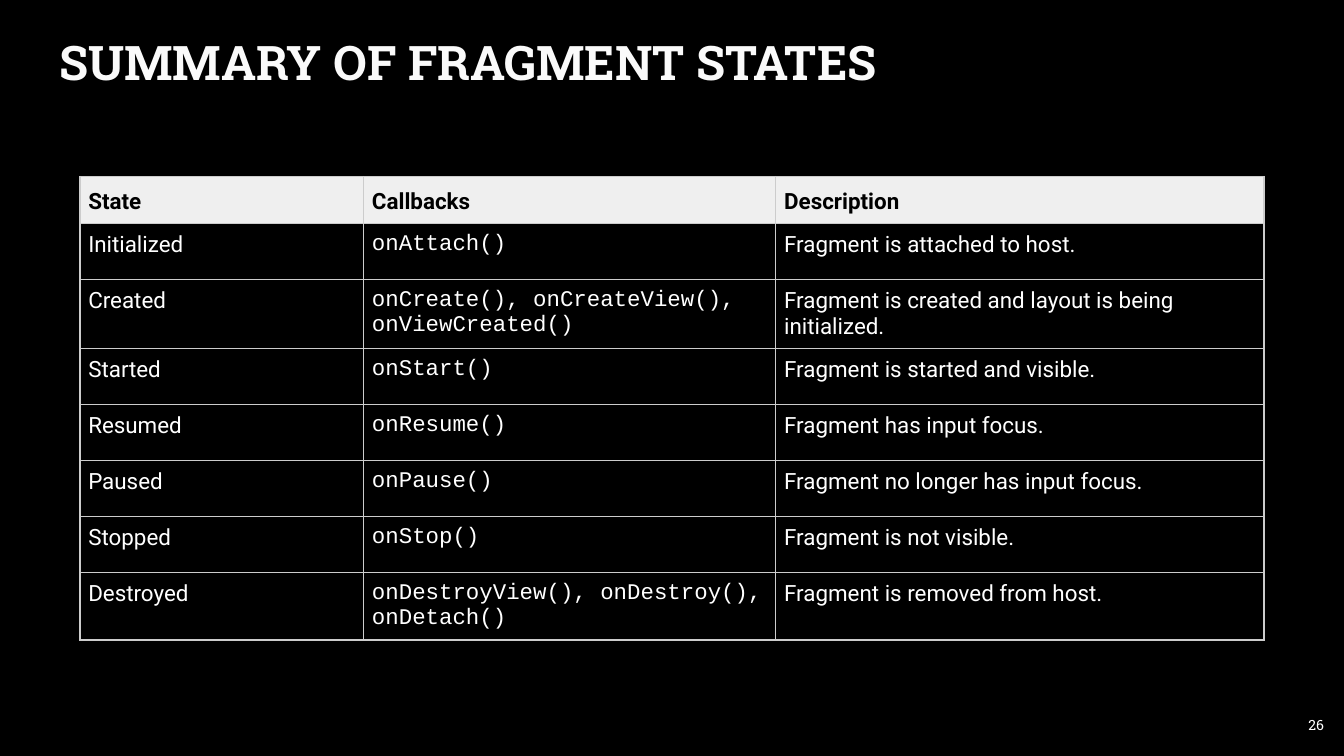
from lxml import etree
from pptx import Presentation
from pptx.dml.color import RGBColor
from pptx.enum.text import MSO_ANCHOR, MSO_AUTO_SIZE, PP_ALIGN
from pptx.oxml.ns import qn
from pptx.util import Pt

TOP, MIDDLE = MSO_ANCHOR.TOP, MSO_ANCHOR.MIDDLE
LEFT, RIGHT = PP_ALIGN.LEFT, PP_ALIGN.RIGHT
NO_FIT = MSO_AUTO_SIZE.NONE

SANS, SLAB, MONO = "Roboto", "Roboto Slab", "Courier New"
WHITE, BLACK = "FFFFFF", "000000"
TITLE_ONLY = 5

HEADS = ["State", "Callbacks", "Description"]
STATES = [
    ["Initialized", "onAttach()", "Fragment is attached to host."],
    ["Created", "onCreate(), onCreateView(), onViewCreated()",
     "Fragment is created and layout is being initialized."],
    ["Started", "onStart()", "Fragment is started and visible."],
    ["Resumed", "onResume()", "Fragment has input focus."],
    ["Paused", "onPause()", "Fragment no longer has input focus."],
    ["Stopped", "onStop()", "Fragment is not visible."],
    ["Destroyed", "onDestroyView(), onDestroy(), onDetach()",
     "Fragment is removed from host."],
]
WIDTHS = [152, 220.8, 261.6]
HEAD_HIGH, ROW_HIGH = 24.8, 30


def color(code):
    return RGBColor.from_string(code)


def add_run(para, text, size, font, code, bold=False):
    run = para.add_run()
    run.text = text
    run.font.size = Pt(size)
    run.font.name = font
    run.font.bold = bold
    run.font.color.rgb = color(code)


def set_frame(frame, anchor, pad=7.2):
    frame.word_wrap = True
    frame.auto_size = NO_FIT
    frame.vertical_anchor = anchor
    frame.margin_left = frame.margin_right = Pt(pad)
    frame.margin_top = frame.margin_bottom = Pt(pad)


def add_title(slide, text):
    title = slide.shapes.title
    title.left, title.top = Pt(24.5), Pt(13.7)
    title.width, title.height = Pt(671), Pt(45.4)
    set_frame(title.text_frame, TOP)
    para = title.text_frame.paragraphs[0]
    para.alignment = LEFT
    para.line_spacing = 0.9
    add_run(para, text, 25.5, SLAB, "FAFAFA", True)


def add_number(slide, text):
    box = slide.shapes.add_textbox(Pt(673.2), Pt(373), Pt(43.2), Pt(31))
    set_frame(box.text_frame, MIDDLE)
    para = box.text_frame.paragraphs[0]
    para.alignment = RIGHT
    add_run(para, text, 7.5, SLAB, WHITE)


def add_border(cell, code, width):
    props = cell._tc.get_or_add_tcPr()
    # Border lines come before the fill in the cell properties
    for spot, side in enumerate(("lnL", "lnR", "lnT", "lnB")):
        line = etree.Element(qn("a:" + side), w=str(Pt(width)))
        fill = etree.SubElement(line, qn("a:solidFill"))
        etree.SubElement(fill, qn("a:srgbClr"), val=code)
        props.insert(spot, line)


def fill_cell(cell, text, font, head):
    cell.margin_left = cell.margin_right = Pt(4.5)
    cell.margin_top = cell.margin_bottom = Pt(4.5)
    cell.vertical_anchor = TOP
    para = cell.text_frame.paragraphs[0]
    if head:
        para.line_spacing = 1.15
        cell.fill.solid()
        cell.fill.fore_color.rgb = color("EFEFEF")
    else:
        cell.fill.background()
    add_run(para, text, 12, font, BLACK if head else WHITE, head)
    add_border(cell, "CCCCCC", 0.75)


def add_grid(slide):
    rows = [HEADS] + STATES
    high = HEAD_HIGH + ROW_HIGH * len(STATES)
    frame = slide.shapes.add_table(len(rows), len(HEADS), Pt(42.8), Pt(94.6),
                                   Pt(sum(WIDTHS)), Pt(high))
    table = frame.table
    table.horz_banding = False
    for col, width in zip(table.columns, WIDTHS):
        col.width = Pt(width)
    for r, row in enumerate(rows):
        head = r == 0
        table.rows[r].height = Pt(HEAD_HIGH if head else ROW_HIGH)
        for c, text in enumerate(row):
            font = MONO if c == 1 and not head else SANS
            fill_cell(table.cell(r, c), text, font, head)


def main():
    deck = Presentation()
    deck.slide_width, deck.slide_height = Pt(720), Pt(405)
    slide = deck.slides.add_slide(deck.slide_layouts[TITLE_ONLY])
    slide.background.fill.solid()
    slide.background.fill.fore_color.rgb = color(BLACK)

    # Heading, page number and table of states
    add_title(slide, "SUMMARY OF FRAGMENT STATES")
    add_number(slide, "26")
    add_grid(slide)
    deck.save("out.pptx")


if __name__ == "__main__":
    main()
